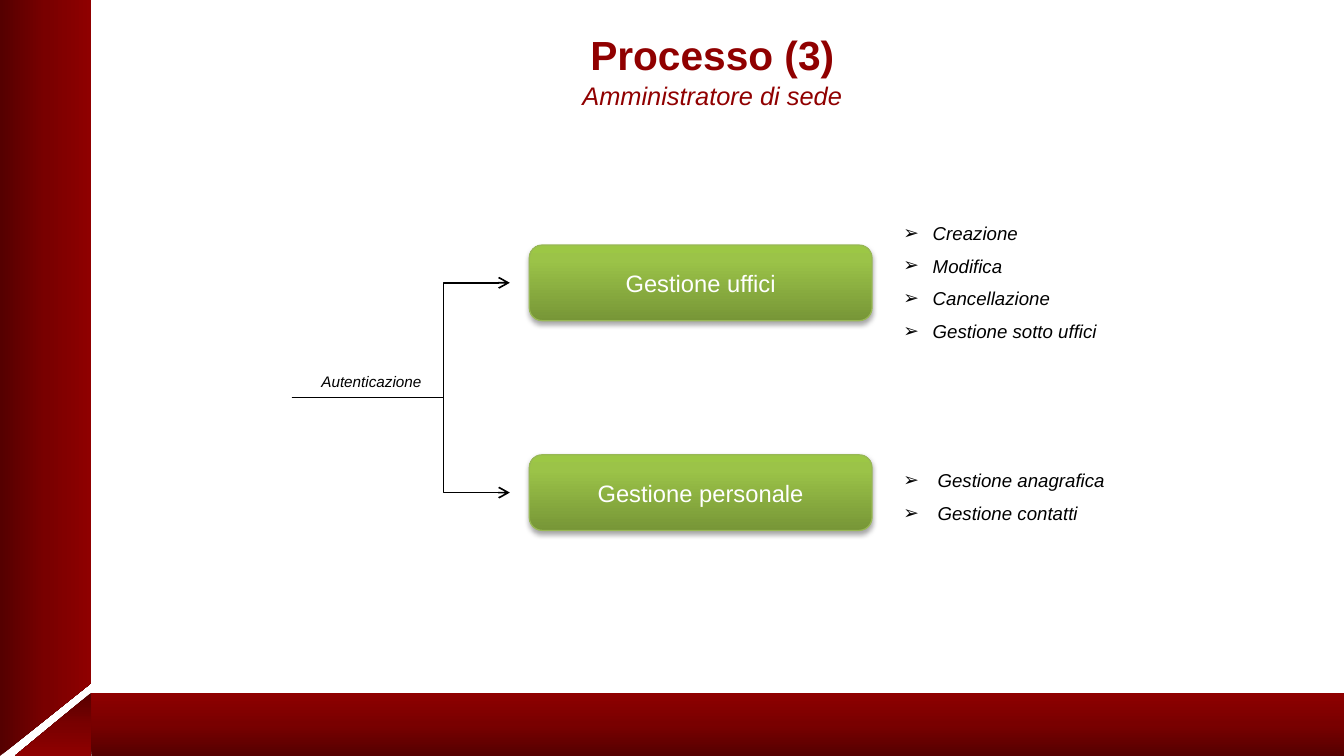
from pptx import Presentation
from pptx.dml.color import RGBColor
from pptx.enum.shapes import MSO_CONNECTOR as Connector, MSO_SHAPE as Shape
from pptx.enum.text import MSO_ANCHOR as Anchor, MSO_AUTO_SIZE as AutoSize, PP_ALIGN as Align
from pptx.oxml import parse_xml
from pptx.oxml.ns import nsdecls
from pptx.util import Inches, Pt


class Theme:
    font = "Arial"
    title_color = "900000"
    text_color = "000000"
    box_text_color = "FFFFFF"
    box_line = "98B855"
    red_stops = [(0, "550000"), (50, "790000"), (100, "8F0000")]
    green_stops = [(0, "779637"), (80, "9BC348"), (100, "9CC745")]
    title_size = 24
    subtitle_size = 15
    box_size = 14
    list_size = 11
    label_size = 9


def fill_gradient(shape, stops, angle):
    stop_xml = "".join(
        f'<a:gs pos="{position * 1000}"><a:srgbClr val="{color}"/></a:gs>'
        for position, color in stops
    )
    gradient = parse_xml(
        f'<a:gradFill {nsdecls("a")} rotWithShape="1"><a:gsLst>{stop_xml}</a:gsLst>'
        f'<a:lin ang="{angle * 60000}" scaled="0"/></a:gradFill>'
    )
    shape._element.spPr.find("{*}prstGeom").addnext(gradient)


def style_font(para, size, color, bold=False, italic=False):
    font = para.font
    font.name = Theme.font
    font.size = Pt(size)
    font.bold = bold
    font.italic = italic
    font.color.rgb = RGBColor.from_string(color)


deck = Presentation()
deck.slide_width = Inches(11.02)
deck.slide_height = Inches(6.2)
page = deck.slides.add_slide(deck.slide_layouts[6])

frame_parts = [
    (Shape.RECTANGLE, 0, 0, 0.75, 5.6, 0, 0, False),
    (Shape.RIGHT_TRIANGLE, 0, 5.6, 0.75, 0.6, 0, 0, True),
    (Shape.RECTANGLE, 0.75, 5.68, 10.27, 0.52, 270, 0, False),
    (Shape.RIGHT_TRIANGLE, 0.12, 5.68, 0.63, 0.52, 90, 180, True),
]
for kind, left, top, width, height, angle, rotation, flipped in frame_parts:
    part = page.shapes.add_shape(kind, Inches(left), Inches(top), Inches(width), Inches(height))
    part.shadow.inherit = False
    part.line.fill.background()
    part.rotation = rotation
    fill_gradient(part, Theme.red_stops, angle)
    if flipped:
        part._element.spPr.xfrm.set("flipV", "1")

title = page.shapes.add_textbox(Inches(1.22), Inches(0.29), Inches(9.12), Inches(0.7))
frame = title.text_frame
frame.word_wrap = True
frame.margin_left = frame.margin_right = frame.margin_top = frame.margin_bottom = 0
frame.text = "Processo (3)\nAmministratore di sede"
for para in frame.paragraphs:
    para.alignment = Align.CENTER
    para.line_spacing = 0.9
    para.space_after = Pt(2.8)
    para._p.get_or_add_pPr().set("marL", str(Inches(0.12)))
style_font(frame.paragraphs[0], Theme.title_size, Theme.title_color, bold=True)
style_font(frame.paragraphs[1], Theme.subtitle_size, Theme.title_color, italic=True)

branches = [
    ("Gestione uffici", 2.01, 2.32, 1.77, 1.08, 0.24,
     ["Creazione", "Modifica", "Cancellazione", "Gestione sotto uffici"]),
    ("Gestione personale", 3.73, 4.04, 3.8, 0.55, 0.28,
     ["Gestione anagrafica", "Gestione contatti"]),
]
for name, box_top, arrow_y, list_top, list_height, indent, actions in branches:
    box = page.shapes.add_shape(
        Shape.ROUNDED_RECTANGLE, Inches(4.34), Inches(box_top), Inches(2.81), Inches(0.62))
    box.adjustments[0] = 0.17
    box.line.color.rgb = RGBColor.from_string(Theme.box_line)
    box.line.width = Pt(0.75)
    fill_gradient(box, Theme.green_stops, 270)
    box.shadow.inherit = False
    box._element.spPr.find("{*}effectLst").append(parse_xml(
        f'<a:outerShdw {nsdecls("a")} blurRad="{Pt(3.1)}" dist="{Pt(1.8)}" dir="5400000" '
        'rotWithShape="0"><a:srgbClr val="000000"><a:alpha val="35000"/></a:srgbClr></a:outerShdw>'
    ))
    box.text_frame.text = name
    box.text_frame.vertical_anchor = Anchor.MIDDLE
    para = box.text_frame.paragraphs[0]
    para.alignment = Align.CENTER
    style_font(para, Theme.box_size, Theme.box_text_color)

    arrow = page.shapes.add_connector(
        Connector.ELBOW, Inches(2.39), Inches(3.26), Inches(4.18), Inches(arrow_y))
    arrow.line.color.rgb = RGBColor.from_string(Theme.text_color)
    arrow.line.width = Pt(1)
    arrow.line._get_or_add_ln().append(parse_xml(f'<a:tailEnd {nsdecls("a")} type="arrow"/>'))
    arrow_format = arrow._element.spPr
    arrow_format.append(parse_xml(f'<a:effectLst {nsdecls("a")}/>'))
    arrow_format.find("{*}prstGeom").find("{*}avLst").append(
        parse_xml(f'<a:gd {nsdecls("a")} name="adj1" fmla="val 69600"/>'))

    action_list = page.shapes.add_textbox(
        Inches(7.31), Inches(list_top), Inches(2.3), Inches(list_height))
    frame = action_list.text_frame
    frame.word_wrap = True
    frame.auto_size = AutoSize.SHAPE_TO_FIT_TEXT
    frame.text = "\n".join(actions)
    for para in frame.paragraphs:
        para.space_after = Pt(6)
        properties = para._p.get_or_add_pPr()
        properties.set("marL", str(Inches(indent)))
        properties.set("indent", str(-Inches(indent)))
        for bullet in (
            f'<a:buClr {nsdecls("a")}><a:srgbClr val="{Theme.text_color}"/></a:buClr>',
            f'<a:buFont {nsdecls("a")} typeface="{Theme.font}"/>',
            f'<a:buChar {nsdecls("a")} char="➢"/>',
        ):
            properties.append(parse_xml(bullet))
        style_font(para, Theme.list_size, Theme.text_color, italic=True)

label = page.shapes.add_textbox(Inches(2.07), Inches(3), Inches(1.95), Inches(0.25))
label.text_frame.word_wrap = True
label.text_frame.auto_size = AutoSize.SHAPE_TO_FIT_TEXT
label.text_frame.text = "Autenticazione"
para = label.text_frame.paragraphs[0]
para.alignment = Align.CENTER
style_font(para, Theme.label_size, Theme.text_color, italic=True)

deck.save("out.pptx")
